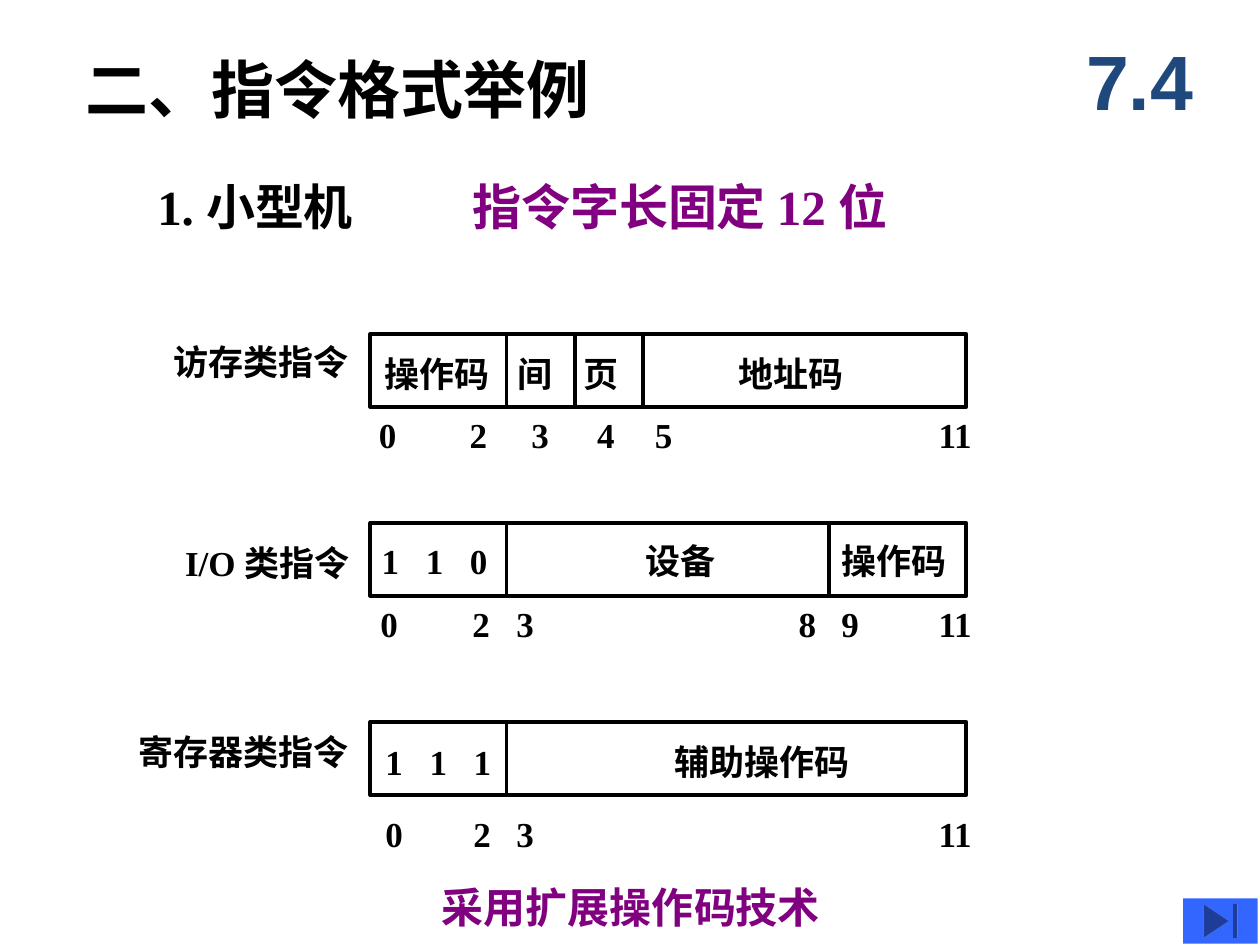
from lxml import etree
from pptx import Presentation
from pptx.dml.color import RGBColor
from pptx.enum import shapes, text
from pptx.oxml.ns import qn
from pptx.util import Inches, Pt

THEME = {
    "serif": "Times New Roman", "sans": "Arial",
    "ink": "000000", "accent": "800080", "mark": "1F497D", "button": "3366FF",
    "title": 36, "number": 44, "head": 28, "note": 24, "body": 20, "line": 2.25,
}
LEFT, WIDE, HIGH = 2.94, 4.73, 0.58
FIELD = 3.0    # left edge of the field text
TALL = 0.43    # height of one line of body text

# words, box, size, colour
HEADS = [
    ("二、指令格式举例", (0.58, 0.35, 5.12, 0.7), "title", "ink"),
    ("1. 小型机", (1.15, 1.35, 2.2, 0.57), "head", "ink"),
    ("指令字长固定 12 位", (3.65, 1.35, 4.35, 0.57), "head", "accent"),
]
NOTE = ("采用扩展操作码技术", (3.41, 6.89, 6, 0.56), "note", "accent")

# label: words, left, top, width, wrap; fields: words and left; bits: number and left
ROWS = [
    {"top": 2.65, "label": ("访存类指令", 1.28, 2.65, 1.6, False),
     "cuts": [4.02, 4.56, 5.1], "text": 2.75, "base": 3.23,
     "fields": [("操作码", 3.05), ("间", 4.11), ("页", 4.63), ("地址码", 5.86)],
     "bits": [(0, 2.91), (2, 3.63), (3, 4.12), (4, 4.64), (5, 5.1), (11, 7.35)]},
    {"top": 4.15, "label": ("I/O 类指令", 1.37, 4.25, 1.51, True),
     "cuts": [4.02, 6.58], "text": 4.23, "base": 4.73,
     "fields": [("1", 3.03), ("1", 3.38), ("0", 3.73), ("设备", 5.12), ("操作码", 6.68)],
     "bits": [(0, 2.92), (2, 3.65), (3, 4), (8, 6.24), (9, 6.58), (11, 7.35)]},
    {"top": 5.73, "label": ("寄存器类指令", 1, 5.75, 1.88, False),
     "cuts": [4.02], "text": 5.83, "base": 6.4,
     "fields": [("1", 3.06), ("1", 3.41), ("1", 3.76), ("辅助操作码", 5.35)],
     "bits": [(0, 2.96), (2, 3.66), (3, 4), (11, 7.35)]},
]


def tone(name):
    return RGBColor.from_string(THEME[name])


def write(pool, words, box, size="body", color="ink", face="serif", wrap=True):
    """Add a bold text box and return it."""
    shape = pool.add_textbox(*map(Inches, box))
    frame = shape.text_frame
    frame.word_wrap = wrap
    run = frame.paragraphs[0].add_run()
    run.text = words
    font = run.font
    font.name, font.size, font.bold = THEME[face], Pt(THEME[size]), True
    font.color.rgb = tone(color)
    return shape


def stroke(line):
    line.color.rgb = tone("ink")
    line.width = Pt(THEME["line"])


def draw_cut(pool, x, top):
    cut = pool.add_connector(shapes.MSO_CONNECTOR.STRAIGHT, Inches(x), Inches(top),
                             Inches(x), Inches(top + HIGH))
    stroke(cut.line)
    etree.SubElement(cut.element.spPr, qn("a:effectLst"))


def draw_fields(pool, fields, top):
    """Write all fields in one line, each after the first at its own tab stop."""
    words = "\t".join(word for word, _ in fields)
    shape = write(pool, words, (FIELD, top, 5, TALL))
    frame = shape.text_frame
    frame.margin_left = Inches(fields[0][1] - FIELD)
    props = frame.paragraphs[0]._p.get_or_add_pPr()
    stops = etree.SubElement(props, qn("a:tabLst"))
    for _, x in fields[1:]:
        etree.SubElement(stops, qn("a:tab"), pos=str(Inches(x - fields[0][1])), algn="l")


def draw_row(slide, row):
    pool = slide.shapes.add_group_shape().shapes
    top = row["top"]
    frame = pool.add_shape(shapes.MSO_SHAPE.RECTANGLE,
                           *map(Inches, (LEFT, top, WIDE, HIGH)))
    frame.shadow.inherit = False
    frame.fill.background()
    stroke(frame.line)
    for x in row["cuts"]:
        draw_cut(pool, x, top)
    draw_fields(pool, row["fields"], row["text"])
    words, x, y, width, wrap = row["label"]
    write(pool, words, (x, y, width, TALL), wrap=wrap)
    for bit, x in row["bits"]:
        width = 0.34 if bit < 10 else 0.48
        write(pool, str(bit), (x, row["base"], width, TALL), wrap=False)


def main():
    deck = Presentation()
    deck.slide_width, deck.slide_height = Inches(10), Inches(7.5)
    slide = deck.slides.add_slide(deck.slide_layouts[6])
    pool = slide.shapes
    for head in HEADS:
        write(pool, *head)
    for row in ROWS:
        draw_row(slide, row)

    number = write(pool, "7.4", (8.42, 0.17, 1.25, 0.92), "number", "mark", "sans", False)
    number.text_frame.vertical_anchor = text.MSO_ANCHOR.MIDDLE
    number.text_frame.paragraphs[0].alignment = text.PP_ALIGN.CENTER
    write(pool, *NOTE).text_frame.paragraphs[0].line_spacing = 1.15

    button = pool.add_shape(shapes.MSO_SHAPE.ACTION_BUTTON_END,
                            *map(Inches, (9.39, 7.13, 0.59, 0.36)))
    button.shadow.inherit = False
    button.fill.solid()
    button.fill.fore_color.rgb = tone("button")
    button.line.fill.background()
    deck.save("out.pptx")


if __name__ == "__main__":
    main()
